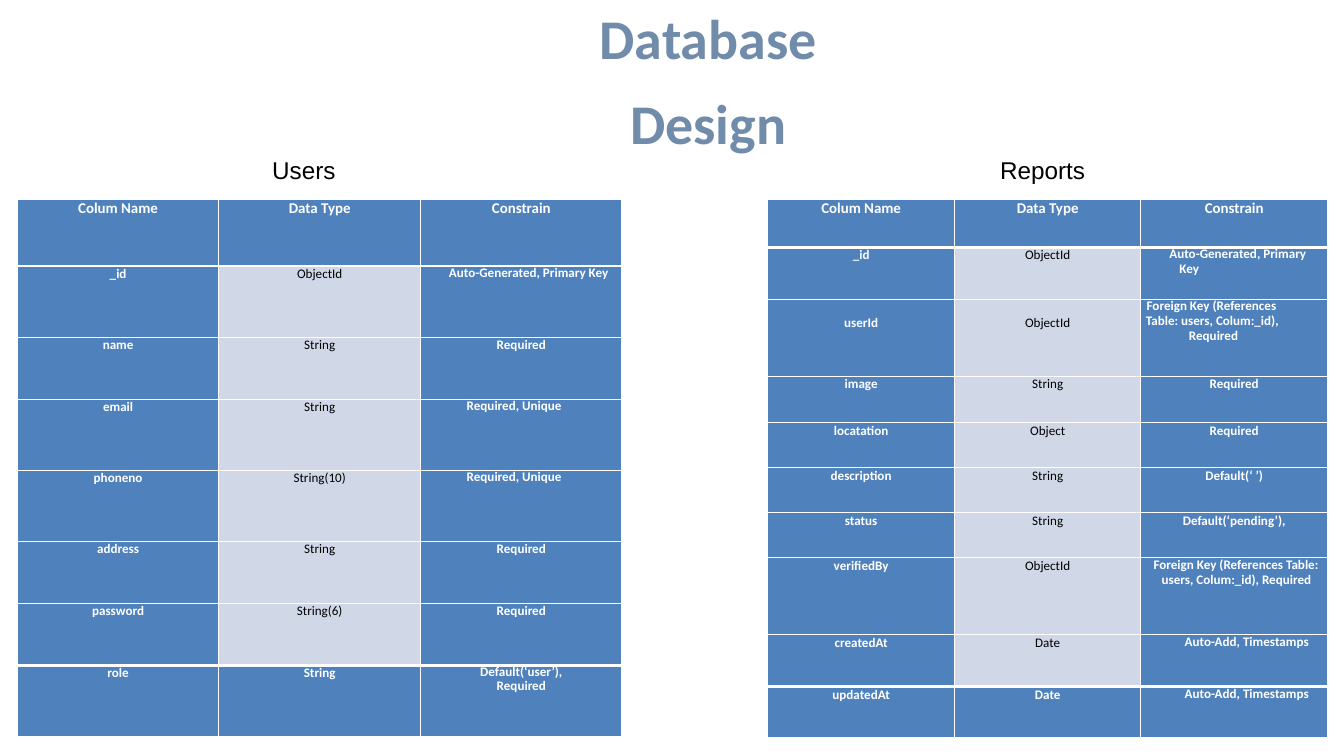
from lxml import etree
from pptx import Presentation
from pptx.dml.color import RGBColor
from pptx.enum.text import MSO_AUTO_SIZE, PP_ALIGN
from pptx.oxml.ns import qn
from pptx.util import Cm, Pt

CENTER, LEFT = PP_ALIGN.CENTER, PP_ALIGN.LEFT
GROW = MSO_AUTO_SIZE.SHAPE_TO_FIT_TEXT
COLORS = {
    "title": "718BAB",
    "black": "000000",
    "white": "FFFFFF",
    "blue": "4F81BD",
    "pale": "D0D8E8",
}
HEADER = ("Colum Name", "Data Type", "Constrain")


def para(text, left=0.03, first=0, line=16.1, align=LEFT):
    return dict(text=text, left=left, first=first, line=line, align=align)


AUTO_KEY = [para("Auto-Generated, Primary Key", 1.47, -0.38)]
UNIQUE = [para("Required, Unique", 2.01, -0.25)]
AUTO_ADD = [para("Auto-Add, Timestamps", 1.52, 0.15)]
DEFAULT_USER = [
    para("Default(‘user’),", align=CENTER),
    para("Required", line=15.1, align=CENTER),
]
USER_KEY = [
    para("Foreign Key (References", 0.2, 0.03),
    para("Table: users, Colum:_id), Required", 1.83, -1.63),
]
VERIFIER_KEY = [
    para("Foreign Key (References Table: users, Colum:_id), Required",
         0.2, -0.03, align=CENTER)
]

# height, space before, top margin, cells
USERS = [
    (2.54, 5.8, 0, HEADER),
    (2.69, 8.1, 0, ("_id", "ObjectId", AUTO_KEY)),
    (2.34, 6, 0, ("name", "String", "Required")),
    (2.69, 8, 0, ("email", "String", UNIQUE)),
    (2.69, 8, 0, ("phoneno", "String(10)", UNIQUE)),
    (2.34, 5.8, 0, ("address", "String", "Required")),
    (2.34, 6, 0, ("password", "String(6)", "Required")),
    (2.69, 8, 0, ("role", "String", DEFAULT_USER)),
]
REPORTS = [
    (1.83, 5.8, 0, HEADER),
    (1.96, 8.1, 0, ("_id", "ObjectId", AUTO_KEY)),
    (2.92, 0, 0.6, ("userId", "ObjectId", USER_KEY)),
    (1.75, 6.5, 0, ("image", "String", "Required")),
    (1.7, 6, 0, ("locatation", "Object", "Required")),
    (1.7, 6, 0, ("description", "String", "Default(‘ ’)")),
    (1.7, 6, 0, ("status", "String", "Default(‘pending’),")),
    (2.92, 16.1, 0, ("verifiedBy", "ObjectId", VERIFIER_KEY)),
    (1.96, 8.1, 0, ("createdAt", "Date", AUTO_ADD)),
    (1.93, 8, 0, ("updatedAt", "Date", AUTO_ADD)),
]


def rgb(name):
    return RGBColor.from_string(COLORS[name])


def add_run(p, text, size, color, bold=False, font="Calibri"):
    r = p.add_run()
    r.text = text
    r.font.name = font
    r.font.size = Pt(size)
    r.font.bold = bold
    r.font.color.rgb = rgb(color)


def set_indent(p, left, first=0):
    pPr = p._p.get_or_add_pPr()
    pPr.set("marL", str(Cm(left)))
    pPr.set("indent", str(Cm(first)))


def get_paragraph(tf, i):
    return tf.add_paragraph() if i else tf.paragraphs[0]


def add_text(s, box, lines, size, color, line, bold=False, font="Calibri",
             align=LEFT, left=0):
    tf = s.shapes.add_textbox(*(Cm(v) for v in box)).text_frame
    tf.word_wrap = True
    tf.auto_size = GROW
    tf.margin_left = tf.margin_right = tf.margin_top = tf.margin_bottom = 0
    for i, text in enumerate(lines):
        p = get_paragraph(tf, i)
        p.alignment = align
        p.line_spacing = Pt(line)
        set_indent(p, left)
        add_run(p, text, size, color, bold, font)


def set_borders(cell, top, bottom):
    tcPr = cell._tc.get_or_add_tcPr()
    widths = {"lnL": 1, "lnR": 1, "lnT": top, "lnB": bottom}
    for i, (side, width) in enumerate(widths.items()):
        ln = etree.Element(qn(f"a:{side}"), w=str(Pt(width)))
        fill = etree.SubElement(ln, qn("a:solidFill"))
        etree.SubElement(fill, qn("a:srgbClr"), val=COLORS["white"])
        tcPr.insert(i, ln)


def fill_cell(cell, content, size, space, margin, pale):
    plain = isinstance(content, str)
    cell.margin_left = cell.margin_right = cell.margin_bottom = 0
    cell.margin_top = Cm(margin) if plain else 0
    cell.fill.solid()
    cell.fill.fore_color.rgb = rgb("pale" if pale else "blue")
    paras = [para(content, line=None, align=CENTER)] if plain else content
    for i, item in enumerate(paras):
        p = get_paragraph(cell.text_frame, i)
        p.alignment = item["align"]
        set_indent(p, item["left"], item["first"])
        if plain:
            p.space_before = Pt(space)
        else:
            p.line_spacing = Pt(item["line"])
        add_run(p, item["text"], size, "black" if pale else "white", not pale)


def add_schema(s, left, col_width, rows):
    top, cols, last = 7.52, len(HEADER), len(rows) - 1
    height = sum(row[0] for row in rows)
    table = s.shapes.add_table(len(rows), cols, Cm(left), Cm(top),
                               Cm(col_width * cols), Cm(height)).table
    table.first_row = table.horz_banding = False
    for col in table.columns:
        col.width = Cm(col_width)
    for y, (row_height, space, margin, contents) in enumerate(rows):
        table.rows[y].height = Cm(row_height)
        for x, content in enumerate(contents):
            cell = table.cell(y, x)
            fill_cell(cell, content, 14 if y else 16, space, margin,
                      pale=x == 1 and 0 < y < last)
            set_borders(cell, 3 if y in (1, last) else 1,
                        3 if y in (0, last - 1) else 1)


def main():
    prs = Presentation()
    prs.slide_width, prs.slide_height = Cm(50.8), Cm(28.58)
    s = prs.slides.add_slide(prs.slide_layouts[6])
    add_text(s, (21.59, -0.53, 10.36, 6.43), ["Database", "Design"], 60,
             "title", 91, bold=True, align=CENTER)
    for name, x in (("Users", 9.32), ("Reports", 36.83)):
        add_text(s, (x, 5.4, 12.5, 3.2), [name], 26, "black", 44.8,
                 font="Arial", left=0.97)
    add_schema(s, 0.64, 7.62, USERS)
    add_schema(s, 29.01, 7.05, REPORTS)
    prs.save("out.pptx")


if __name__ == "__main__":
    main()
